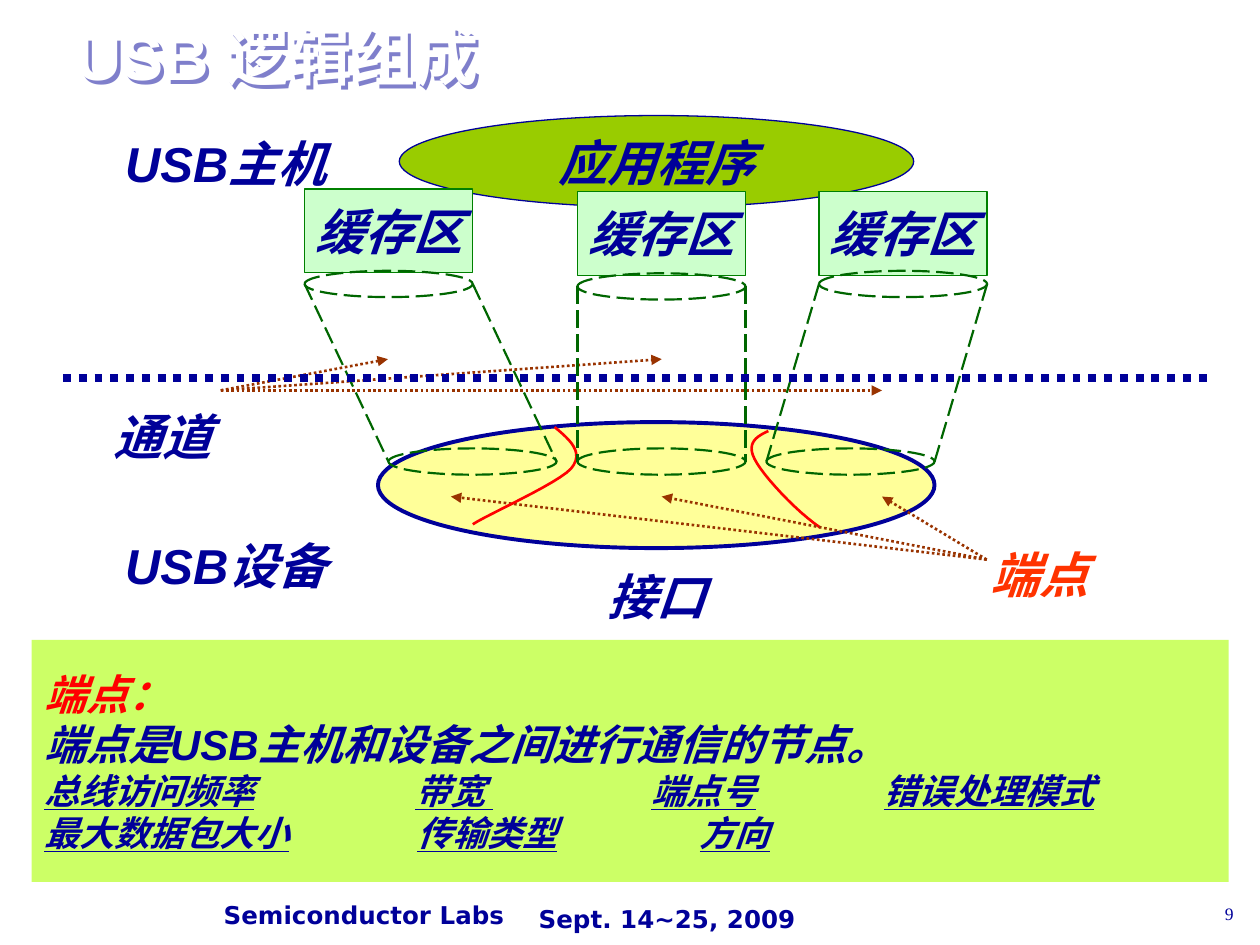
import dataclasses

import lxml.etree
import pptx
import pptx.dml.color
import pptx.enum.dml
import pptx.enum.shapes
import pptx.enum.text
import pptx.oxml
import pptx.oxml.ns
import pptx.util

Cm = pptx.util.Cm
Kind = pptx.enum.shapes.MSO_SHAPE
Dash = pptx.enum.dml.MSO_LINE
Align = pptx.enum.text.PP_ALIGN
qn = pptx.oxml.ns.qn


@dataclasses.dataclass(frozen=True)
class Theme:
    navy: str = "000099"
    white: str = "FFFFFF"
    red: str = "FF0000"
    orange: str = "FF3300"
    brown: str = "993300"
    yellow: str = "FFFF99"
    olive: str = "99CC00"
    lime: str = "CCFF66"
    mint: str = "CCFFCC"
    green: str = "008000"
    forest: str = "006600"
    font: str = "Arial"
    foot_font: str = "DejaVu Sans"
    page_font: str = "Times New Roman"
    title: int = 36
    label: int = 28
    lead: int = 24
    item: int = 20
    foot: int = 14
    page: int = 10


def tint(hue):
    return pptx.dml.color.RGBColor.from_string(hue)


def curve(start, parts, steps=12):
    """Yield points along a chain of cubic Bezier parts."""
    for one, two, end in parts:
        for step in range(1, steps + 1):
            t = step / steps
            u = 1 - t
            yield tuple(u**3 * a + 3 * u * u * t * b + 3 * u * t * t * c + t**3 * d
                        for a, b, c, d in zip(start, one, two, end))
        start = end


class Pen:
    """Draws on one slide in one theme; lengths are in centimetres."""

    def __init__(self, slide, theme):
        self.slide, self.theme = slide, theme
        self.shapes = slide.shapes

    def run(self, para, text, size, hue, font=None, slant=True, under=False):
        run = para.add_run()
        run.text = text
        face = run.font
        face.name = font or self.theme.font
        face.size = pptx.util.Pt(size)
        face.bold, face.italic, face.underline = True, slant, under
        face.color.rgb = tint(hue)
        return run

    def frame(self, shape, align, wrap=False):
        """Set up the text frame and return its first paragraph."""
        frame = shape.text_frame
        frame.auto_size = pptx.enum.text.MSO_AUTO_SIZE.NONE
        frame.word_wrap = wrap
        frame.vertical_anchor = pptx.enum.text.MSO_ANCHOR.MIDDLE
        para = frame.paragraphs[0]
        para.alignment = align
        return para

    def stroke(self, line, hue, width, dash=None):
        line.color.rgb = tint(hue)
        line.width = pptx.util.Pt(width)
        if dash:
            line.dash_style = dash

    def title(self, text, box):
        shape = self.slide.shapes.title
        shape.left, shape.top, shape.width, shape.height = map(Cm, box)
        shape.fill.background()
        para = self.frame(shape, Align.LEFT, True)
        para.line_spacing = 0.8
        self.run(para, text, self.theme.title, self.theme.white, slant=False)
        glow = lxml.etree.SubElement(shape.element.spPr, qn("a:effectLst"))
        shade = lxml.etree.SubElement(glow, qn("a:outerShdw"), dist="36000", dir="2700000")
        hue = lxml.etree.SubElement(shade, qn("a:srgbClr"), val=self.theme.navy)
        lxml.etree.SubElement(hue, qn("a:alpha"), val="50000")

    def label(self, text, box, hue=None, font=None):
        para = self.frame(self.shapes.add_textbox(*map(Cm, box)), Align.CENTER)
        self.run(para, text, self.theme.label, hue or self.theme.navy, font)

    def note(self, text, box, size, font, align=Align.LEFT):
        para = self.frame(self.shapes.add_textbox(*map(Cm, box)), align, True)
        return self.run(para, text, size, self.theme.navy, font, slant=False)

    def shape(self, kind, box, fill=None, edge=None, width=0.75, dash=None, text="", home=None):
        shape = (home or self.shapes).add_shape(kind, *map(Cm, box))
        shape.shadow.inherit = False
        if fill:
            shape.fill.solid()
            shape.fill.fore_color.rgb = tint(fill)
        else:
            shape.fill.background()
        if edge:
            self.stroke(shape.line, edge, width, dash)
        else:
            shape.line.fill.background()
        if text:
            self.run(self.frame(shape, Align.CENTER), text, self.theme.label, self.theme.navy)
        return shape

    def line(self, start, end, hue, width, dash, arrow=False, home=None):
        line = (home or self.shapes).add_connector(
            pptx.enum.shapes.MSO_CONNECTOR.STRAIGHT, *map(Cm, start + end))
        self.stroke(line.line, hue, width, dash)
        lxml.etree.SubElement(line.element.spPr, qn("a:effectLst"))
        if arrow:
            lxml.etree.SubElement(line.line._get_or_add_ln(), qn("a:tailEnd"), type="triangle")

    def bend(self, start, parts):
        path = self.shapes.build_freeform(*map(Cm, start))
        path.add_line_segments([tuple(map(Cm, spot)) for spot in curve(start, parts)], close=False)
        shape = path.convert_to_shape()
        shape.shadow.inherit = False
        shape.fill.background()
        self.stroke(shape.line, self.theme.red, 1.5)

    def pipe(self, top, base, width=3.39, rim=0.53):
        """Draw a dashed tube between two rims given by their left top corners."""
        home = self.shapes.add_group_shape().shapes
        style = (self.theme.forest, 1.25, Dash.LONG_DASH)
        for left, high in (top, base):
            self.shape(Kind.OVAL, (left, high, width, rim), None, *style, home=home)
        for side in (0, width):
            ends = [(left + side, high + rim / 2) for left, high in (top, base)]
            self.line(*ends, *style, home=home)

    def panel(self, box, leads, rows):
        shape = self.shape(Kind.RECTANGLE, box, self.theme.lime)
        first = self.frame(shape, Align.LEFT, True)
        for text, hue in leads:
            para = shape.text_frame.add_paragraph() if first.runs else first
            para.alignment = Align.LEFT
            self.run(para, text, self.theme.lead, hue)
        for words, stops in rows:
            para = shape.text_frame.add_paragraph()
            para.alignment = Align.LEFT
            tabs = lxml.etree.SubElement(para._p.get_or_add_pPr(), qn("a:tabLst"))
            for stop in stops:
                lxml.etree.SubElement(tabs, qn("a:tab"), pos=str(Cm(stop)), algn="l")
            for spot, word in enumerate(words):
                if spot:
                    self.run(para, "\t", self.theme.item, self.theme.navy, slant=False)
                self.run(para, word, self.theme.item, self.theme.navy, under=True)


def main():
    deck = pptx.Presentation()
    deck.slide_width, deck.slide_height = Cm(25.4), Cm(19.05)
    look = Theme()
    pen = Pen(deck.slides.add_slide(deck.slide_layouts[5]), look)

    pen.title("USB 逻辑组成", (1.27, 0.42, 23.07, 1.69))
    pen.note("Semiconductor Labs", (4.26, 18.05, 6.35, 0.76), look.foot, look.foot_font)
    pen.note("Sept. 14~25, 2009", (10.61, 18.03, 5.93, 0.99), look.foot, look.foot_font)

    pen.shape(Kind.OVAL, (7.62, 8.51, 11.22, 2.54), look.yellow, look.navy, 2.25)
    pen.bend((15.49, 8.69), [((15.27, 8.79), (15.04, 8.92), (15.21, 9.25)),
                             ((15.37, 9.58), (16.05, 10.31), (16.54, 10.64))])

    fans = [((4.45, 7.87), [(7.82, 7.24), (13.34, 7.24), (17.78, 7.87)]),
            ((19.89, 11.28), [(17.78, 10.01), (13.34, 10.01), (9.09, 10.01)])]
    for start, ends in fans:
        for end in ends:
            pen.line(start, end, look.brown, 1.5, Dash.ROUND_DOT, arrow=True)

    pen.panel((0.64, 12.9, 24.13, 4.88),
              [("端点：", look.red), ("端点是USB主机和设备之间进行通信的节点。", look.navy)],
              [(("总线访问频率", "带宽 ", "端点号", "错误处理模式"), (7.48, 12.24, 16.93)),
               (("最大数据包大小", "传输类型", "方向"), (7.52, 13.22))])
    pen.bend((11.18, 8.61), [((11.48, 8.86), (11.79, 9.12), (11.51, 9.45)),
                             ((11.23, 9.75), (9.86, 10.36), (9.53, 10.57))])

    pen.shape(Kind.OVAL, (8.05, 2.33, 10.37, 1.85), look.olive, look.navy, text="应用程序")
    pen.label("USB主机", (2.54, 2.75, 4.02, 1.06))
    pen.label("USB设备", (2.54, 10.85, 4.02, 1.06))
    pen.label("接口", (11.22, 11.48, 4.02, 1.06), font=look.foot_font)
    pen.label("端点", (19.89, 11.05, 2.12, 1.06), look.orange)

    tubes = [((6.14, 3.81), 5.46, 7.83), ((11.64, 3.86), 5.51, 11.64), ((16.51, 3.86), 5.46, 15.45)]
    for spot, _, _ in tubes:
        pen.shape(Kind.RECTANGLE, spot + (3.39, 1.69), look.mint, look.green, text="缓存区")
    for (left, _), rim, base in tubes:
        pen.pipe((left, rim), (base, 9.04))

    pen.label("通道", (1.27, 8.26, 4.02, 1.06))
    pen.line((1.27, 7.62), (24.34, 7.62), look.navy, 4.5, Dash.ROUND_DOT)
    page = pen.note("9", (22.71, 18.06, 2.41, 0.7), look.page, look.page_font, Align.RIGHT)
    page.font.bold = False
    deck.save("out.pptx")


if __name__ == "__main__":
    main()
